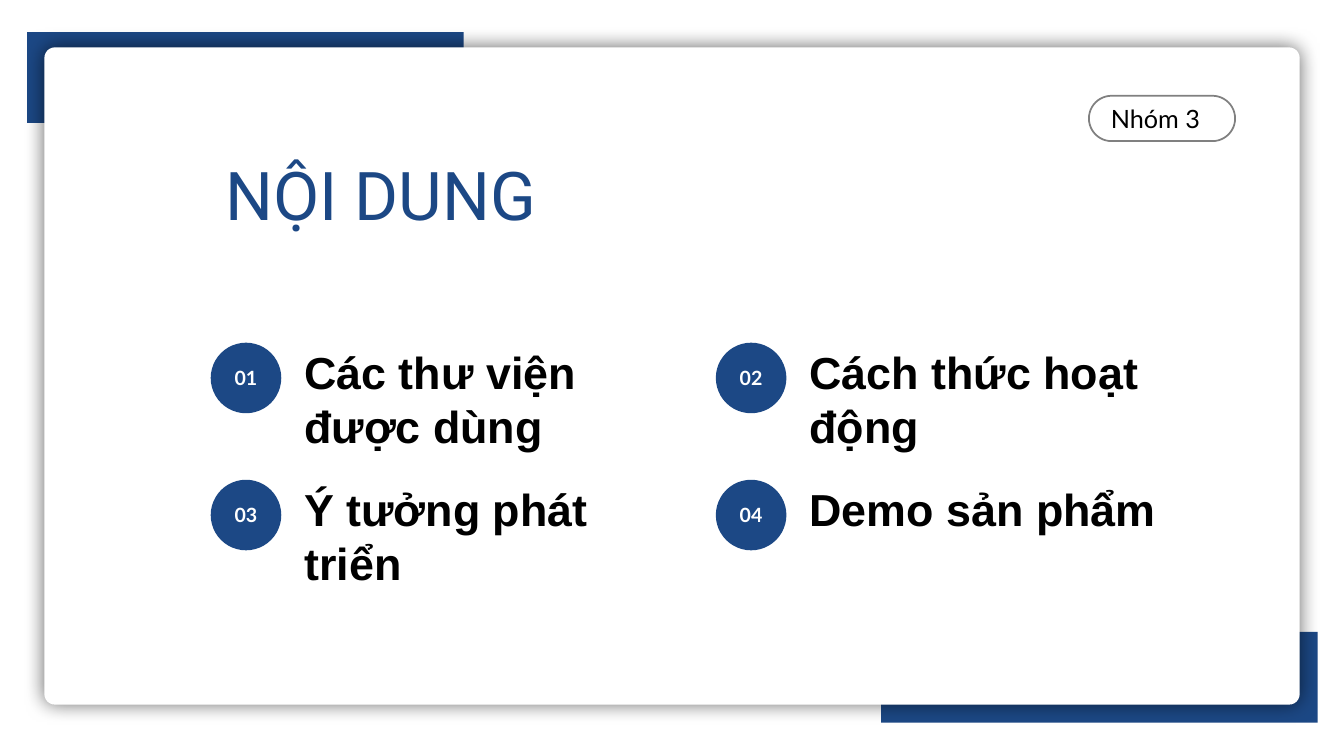
from lxml import etree
from pptx import Presentation
from pptx.dml.color import RGBColor
from pptx.enum import shapes, text
from pptx.oxml import ns
from pptx.util import Inches, Pt

NAVY = RGBColor(0x1C, 0x48, 0x85)
WHITE = RGBColor(0xFF, 0xFF, 0xFF)
BLACK = RGBColor(0, 0, 0)
GREY = RGBColor(0x80, 0x80, 0x80)

TOPICS = [
    "Các thư viện được dùng",
    "Cách thức hoạt động",
    "Ý tưởng phát triển",
    "Demo sản phẩm",
]
COLUMNS, GRID_LEFT, GRID_TOP = 2, 2.09, 3.4
COLUMN_STEP, ROW_STEP = 5.01, 1.36


def place(element, left, top, width, height):
    element.left, element.top = Inches(left), Inches(top)
    element.width, element.height = Inches(width), Inches(height)


def write(element, words, font_name, size, color, bold=False, align=None):
    element.text_frame.text = words
    paragraph = element.text_frame.paragraphs[0]
    paragraph.alignment = align
    font = paragraph.font
    font.name, font.size, font.bold = font_name, Pt(size), bold
    font.color.rgb = color


def add_filled(slide, kind, box, fill):
    panel = slide.shapes.add_shape(kind, *map(Inches, box))
    panel.shadow.inherit = False
    panel.line.fill.background()
    if fill is None:
        panel.fill.background()
    else:
        panel.fill.solid()
        panel.fill.fore_color.rgb = fill
    return panel


def add_glow_shadow(panel, blur, alpha):
    effects = panel.element.spPr.find(ns.qn("a:effectLst"))
    shadow = etree.SubElement(effects, ns.qn("a:outerShdw"),
                              blurRad=str(Inches(blur)), dist="0",
                              algn="ctr", rotWithShape="0")
    black = etree.SubElement(shadow, ns.qn("a:srgbClr"), val=str(BLACK))
    etree.SubElement(black, ns.qn("a:alpha"), val=str(alpha * 1000))


def add_card(slide):
    for left, top in [(8.74, 6.27), (0.27, 0.32)]:
        add_filled(slide, shapes.MSO_SHAPE.RECTANGLE, (left, top, 4.33, 0.9), NAVY)
    card = add_filled(slide, shapes.MSO_SHAPE.ROUNDED_RECTANGLE,
                      (0.44, 0.47, 12.45, 6.52), WHITE)
    card.adjustments[0] = 0.016
    add_glow_shadow(card, 0.2, 60)


def add_heading(slide, words):
    heading = slide.shapes.title
    place(heading, 1.96, 1.47, 3.64, 0.91)
    write(heading, words, "Roboto", 48, NAVY, align=text.PP_ALIGN.CENTER)
    frame = heading.text_frame
    frame.vertical_anchor = text.MSO_ANCHOR.TOP
    frame.auto_size = text.MSO_AUTO_SIZE.SHAPE_TO_FIT_TEXT
    slide.shapes.element.append(heading.element)


def add_topic(slide, number, topic, left, top):
    badge = add_filled(slide, shapes.MSO_SHAPE.OVAL, (left, top, 0.7, 0.7), NAVY)
    write(badge, f"{number:02d}", "Lato", 14, WHITE, True, text.PP_ALIGN.CENTER)
    badge.text_frame.vertical_anchor = text.MSO_ANCHOR.MIDDLE
    label = slide.shapes.add_textbox(
        *map(Inches, (left + 0.83, top - 0.03, 4.05, 0.64)))
    label.text_frame.word_wrap = True
    label.text_frame.auto_size = text.MSO_AUTO_SIZE.SHAPE_TO_FIT_TEXT
    write(label, topic, "Arial", 32, BLACK, True)


def add_group_tag(slide, words):
    tag = add_filled(slide, shapes.MSO_SHAPE.ROUNDED_RECTANGLE,
                     (10.8, 0.95, 1.45, 0.45), None)
    tag.adjustments[0] = 0.5
    tag.line.color.rgb = GREY
    tag.line.width = Pt(1.25)
    write(tag, words, "Lato", 18, BLACK, align=text.PP_ALIGN.CENTER)
    tag.text_frame.vertical_anchor = text.MSO_ANCHOR.MIDDLE
    tag.text_frame.margin_right = Inches(0.23)


def main():
    deck = Presentation()
    deck.slide_width, deck.slide_height = Inches(13.33), Inches(7.5)
    slide = deck.slides.add_slide(deck.slide_layouts[5])
    add_card(slide)
    add_heading(slide, "NỘI DUNG")
    for index, topic in enumerate(TOPICS):
        row, column = divmod(index, COLUMNS)
        add_topic(slide, index + 1, topic,
                  GRID_LEFT + column * COLUMN_STEP, GRID_TOP + row * ROW_STEP)
    add_group_tag(slide, "Nhóm 3")
    deck.save("out.pptx")


if __name__ == "__main__":
    main()
